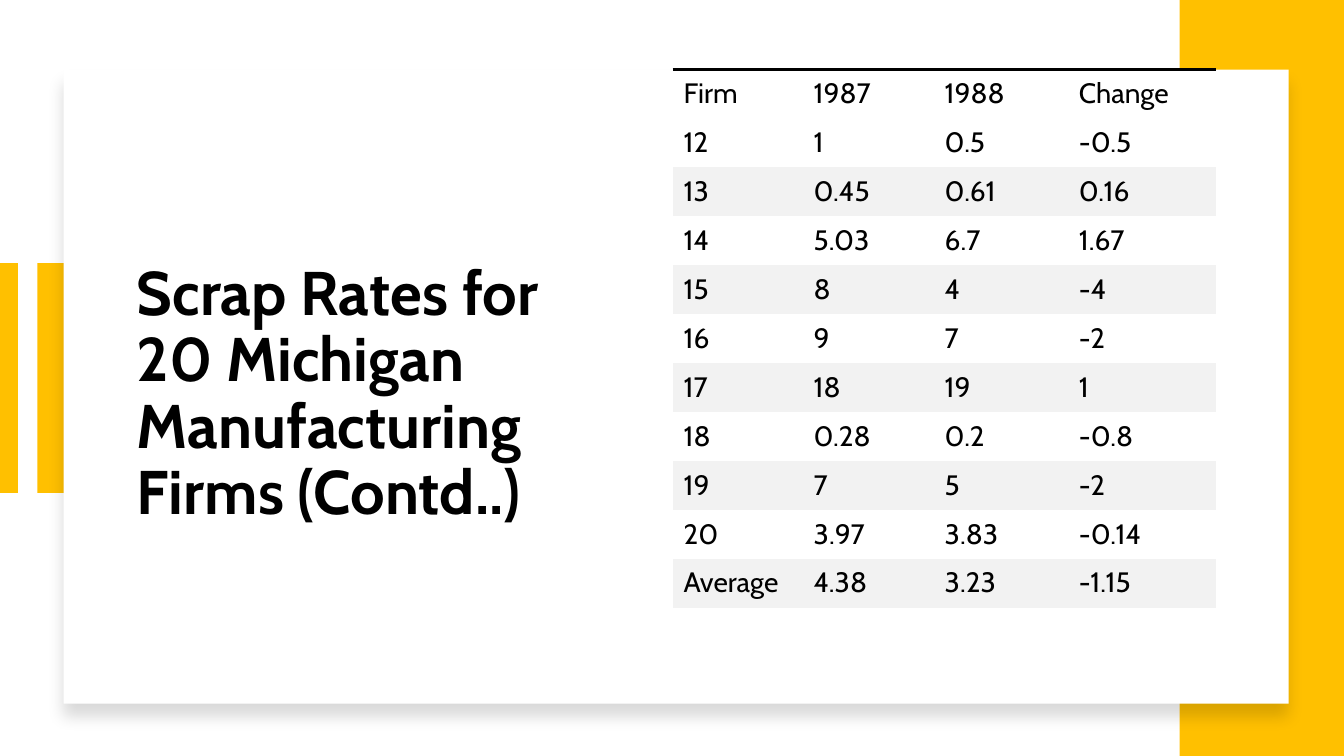
from lxml.etree import SubElement
from pptx import Presentation
from pptx.dml.color import RGBColor
from pptx.enum.shapes import MSO_CONNECTOR, MSO_SHAPE
from pptx.enum.text import MSO_ANCHOR
from pptx.oxml import parse_xml
from pptx.oxml.ns import nsdecls, qn
from pptx.util import Inches, Pt

WIDTH, HEIGHT = Inches(13.33), Inches(7.5)
FONT = "Cabin"
BLACK = RGBColor(0x00, 0x00, 0x00)
WHITE = RGBColor(0xFF, 0xFF, 0xFF)
AMBER = RGBColor(0xFF, 0xC0, 0x00)
BAND = RGBColor(0xF2, 0xF2, 0xF2)
NO_STYLE_NO_GRID = "{2D5ABB26-0587-4C30-8999-92F81FD0307C}"

TITLE = "Scrap Rates for 20 Michigan Manufacturing Firms (Contd..)"
COLUMN_SHARES = [9.68, 9.75, 9.98, 11.03]
SCRAP_RATES = [
    ("Firm", "1987", "1988", "Change"),
    ("12", "1", "0.5", "-0.5"),
    ("13", "0.45", "0.61", "0.16"),
    ("14", "5.03", "6.7", "1.67"),
    ("15", "8", "4", "-4"),
    ("16", "9", "7", "-2"),
    ("17", "18", "19", "1"),
    ("18", "0.28", "0.2", "-0.8"),
    ("19", "7", "5", "-2"),
    ("20", "3.97", "3.83", "-0.14"),
    ("Average", "4.38", "3.23", "-1.15"),
]


def across(percent):
    return round(WIDTH * percent / 100)


def down(percent):
    return round(HEIGHT * percent / 100)


def box(left, top, width, height):
    """Turn percentages of the slide into a position and size."""
    return across(left), down(top), across(width), down(height)


def style_run(p, size, bold=False):
    font = p.runs[0].font
    font.name, font.size, font.bold = FONT, Pt(size), bold
    font.color.rgb = BLACK


def add_block(s, area, color):
    block = s.shapes.add_shape(MSO_SHAPE.RECTANGLE, *box(*area))
    block.shadow.inherit = False
    block.fill.solid()
    block.fill.fore_color.rgb = color
    block.line.fill.background()
    return block


def add_soft_shadow(shape):
    effects = shape._element.spPr.find(qn("a:effectLst"))
    effects.append(parse_xml(
        f'<a:outerShdw {nsdecls("a")} blurRad="{Pt(11)}" dist="{Pt(10)}" '
        'dir="5400000" algn="t" rotWithShape="0">'
        '<a:srgbClr val="000000"><a:alpha val="15000"/></a:srgbClr>'
        '</a:outerShdw>'))


def add_vertical_bar(s, x, top, bottom, weight):
    bar = s.shapes.add_connector(
        MSO_CONNECTOR.STRAIGHT, across(x), down(top), across(x), down(bottom))
    bar.line.color.rgb = AMBER
    bar.line.width = Pt(weight)
    SubElement(bar._element.spPr, qn("a:effectLst"))


def add_title(s, text, area):
    tf = s.shapes.add_textbox(*box(*area)).text_frame
    tf.word_wrap = True
    tf.vertical_anchor = MSO_ANCHOR.MIDDLE
    tf.text = text
    p = tf.paragraphs[0]
    p.line_spacing = 0.9
    style_run(p, 44, bold=True)


def add_top_border(cell, weight):
    cell._tc.get_or_add_tcPr().insert(0, parse_xml(
        f'<a:lnT {nsdecls("a")} w="{Pt(weight)}"><a:solidFill>'
        f'<a:srgbClr val="{BLACK}"/></a:solidFill></a:lnT>'))


def fill_cell(cell, text, banded):
    cell.text = text
    cell.margin_left = cell.margin_right = Inches(0.11)
    cell.margin_top = cell.margin_bottom = Inches(0.07)
    style_run(cell.text_frame.paragraphs[0], 20)
    if banded:
        cell.fill.solid()
        cell.fill.fore_color.rgb = BAND
    else:
        cell.fill.background()


def add_rates_table(s, rows, area):
    table = s.shapes.add_table(len(rows), len(rows[0]), *box(*area)).table
    table.first_row = table.horz_banding = False
    table._tbl.tblPr.find(qn("a:tableStyleId")).text = NO_STYLE_NO_GRID
    for column, share in zip(table.columns, COLUMN_SHARES):
        column.width = across(share)
    for i, values in enumerate(rows):
        for j, value in enumerate(values):
            fill_cell(table.cell(i, j), value, banded=i > 0 and i % 2 == 0)
    for cell in table.rows[0].cells:
        add_top_border(cell, 2.25)


def main():
    prs = Presentation()
    prs.slide_width, prs.slide_height = WIDTH, HEIGHT
    s = prs.slides.add_slide(prs.slide_layouts[6])

    add_block(s, (2.78, 34.8, 2.55, 30.4), AMBER)
    add_vertical_bar(s, 0.6, 34.8, 65.2, 14)
    add_block(s, (87.77, 0, 12.23, 100), AMBER)
    card = add_block(s, (4.73, 9.2, 91.15, 83.87), WHITE)
    add_soft_shadow(card)
    add_title(s, TITLE, (9.45, 18.13, 32.86, 68.27))
    add_rates_table(s, SCRAP_RATES, (50.04, 9.2, sum(COLUMN_SHARES), 71.2))

    prs.save("out.pptx")


if __name__ == "__main__":
    main()
